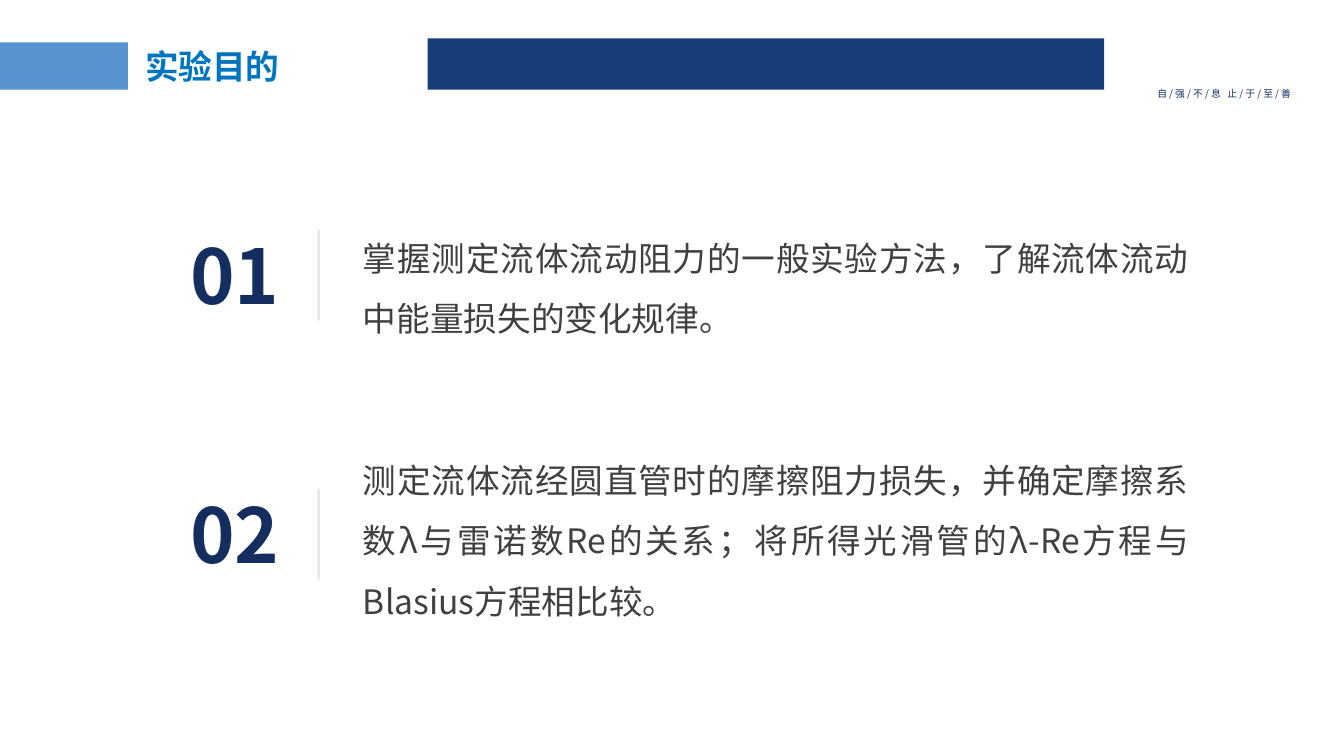
from dataclasses import dataclass

from lxml.etree import SubElement
from pptx import Presentation
from pptx.dml.color import RGBColor
from pptx.enum.shapes import MSO_CONNECTOR, MSO_SHAPE
from pptx.enum.text import MSO_ANCHOR, MSO_AUTO_SIZE, PP_ALIGN
from pptx.oxml.ns import qn
from pptx.slide import Slide
from pptx.text.text import TextFrame
from pptx.util import Inches, Pt

FONT = "Noto Sans CJK SC"
NAVY, BAR_NAVY, BAR_BLUE = "142E60", "173D7A", "5793CE"
TITLE_BLUE, BODY_GREY, RULE_GREY = "0075BF", "404040", "A5A5A5"


@dataclass
class Box:
    left: float
    top: float
    width: float
    height: float

    def lengths(self) -> list[int]:
        return [Inches(n) for n in (self.left, self.top, self.width, self.height)]


@dataclass
class Goal:
    number: str
    number_top: float
    body_top: float
    body_height: float
    text: str


GOALS = [
    Goal("01", 2.22, 2.11, 1.24,
         "掌握测定流体流动阻力的一般实验方法，了解流体流动中能量损失的变化规律。"),
    Goal("02", 4.79, 4.31, 1.85,
         "测定流体流经圆直管时的摩擦阻力损失，并确定摩擦系数λ与雷诺数Re的关系；"
         "将所得光滑管的λ-Re方程与Blasius方程相比较。"),
]


def color(value: str) -> RGBColor:
    return RGBColor.from_string(value)


def add_bar(slide: Slide, box: Box, fill: str) -> None:
    shape = slide.shapes.add_shape(MSO_SHAPE.RECTANGLE, *box.lengths())
    shape.shadow.inherit = False
    shape.fill.solid()
    shape.fill.fore_color.rgb = color(fill)
    shape.line.fill.background()


def add_text(slide: Slide, box: Box, text: str, size: float, text_color: str,
             bold: bool = False, wrap: bool = True, grow: bool = True,
             spacing: float = 1.0) -> TextFrame:
    frame = slide.shapes.add_textbox(*box.lengths()).text_frame
    frame.word_wrap = wrap
    frame.auto_size = MSO_AUTO_SIZE.SHAPE_TO_FIT_TEXT if grow else MSO_AUTO_SIZE.NONE
    paragraph = frame.paragraphs[0]
    paragraph.line_spacing = spacing
    run = paragraph.add_run()
    run.text = text
    run.font.size = Pt(size)
    run.font.bold = bold
    run.font.color.rgb = color(text_color)
    run.font.name = FONT
    # East Asian characters take their own typeface element
    SubElement(run.font._element, qn("a:ea"), typeface=FONT)
    return frame


def add_rule(slide: Slide, left: float, top: float, height: float) -> None:
    rule = slide.shapes.add_connector(
        MSO_CONNECTOR.STRAIGHT, Inches(left), Inches(top), Inches(left), Inches(top + height))
    rule.line.width = Pt(1.5)
    rule.line.color.rgb = color(RULE_GREY)
    # 32 % opacity, no shadow
    fill = rule.line._ln.find(qn("a:solidFill"))
    SubElement(fill[0], qn("a:alpha"), val="32000")
    SubElement(rule._element.spPr, qn("a:effectLst"))


def add_goal(slide: Slide, goal: Goal) -> None:
    add_text(slide, Box(1.79, goal.number_top, 1.13, 1.01), goal.number, 54, NAVY,
             bold=True, wrap=False)
    add_rule(slide, 3.16, goal.number_top + 0.06, 0.9)
    body = add_text(slide, Box(3.6, goal.body_top, 8.29, goal.body_height), goal.text,
                    24, BODY_GREY, spacing=1.5)
    body.margin_left = 0
    body.paragraphs[0].alignment = PP_ALIGN.JUSTIFY


def main() -> None:
    presentation = Presentation()
    presentation.slide_width = Inches(13.33)
    presentation.slide_height = Inches(7.5)
    slide = presentation.slides.add_slide(presentation.slide_layouts[6])

    # Header: bars, motto and title
    add_bar(slide, Box(4.24, 0.38, 6.71, 0.51), BAR_NAVY)
    add_bar(slide, Box(0, 0.42, 1.27, 0.47), BAR_BLUE)
    add_text(slide, Box(11.38, 0.82, 1.73, 0.22),
             "自 / 强 / 不 / 息   止 / 于 / 至 / 善", 7, NAVY)
    title = add_text(slide, Box(1.34, 0.45, 2.89, 0.47), "实验目的", 24, TITLE_BLUE,
                     bold=True, grow=False, spacing=0.9)
    title.vertical_anchor = MSO_ANCHOR.MIDDLE

    # Numbered goals
    for goal in GOALS:
        add_goal(slide, goal)

    presentation.save("out.pptx")


if __name__ == "__main__":
    main()
